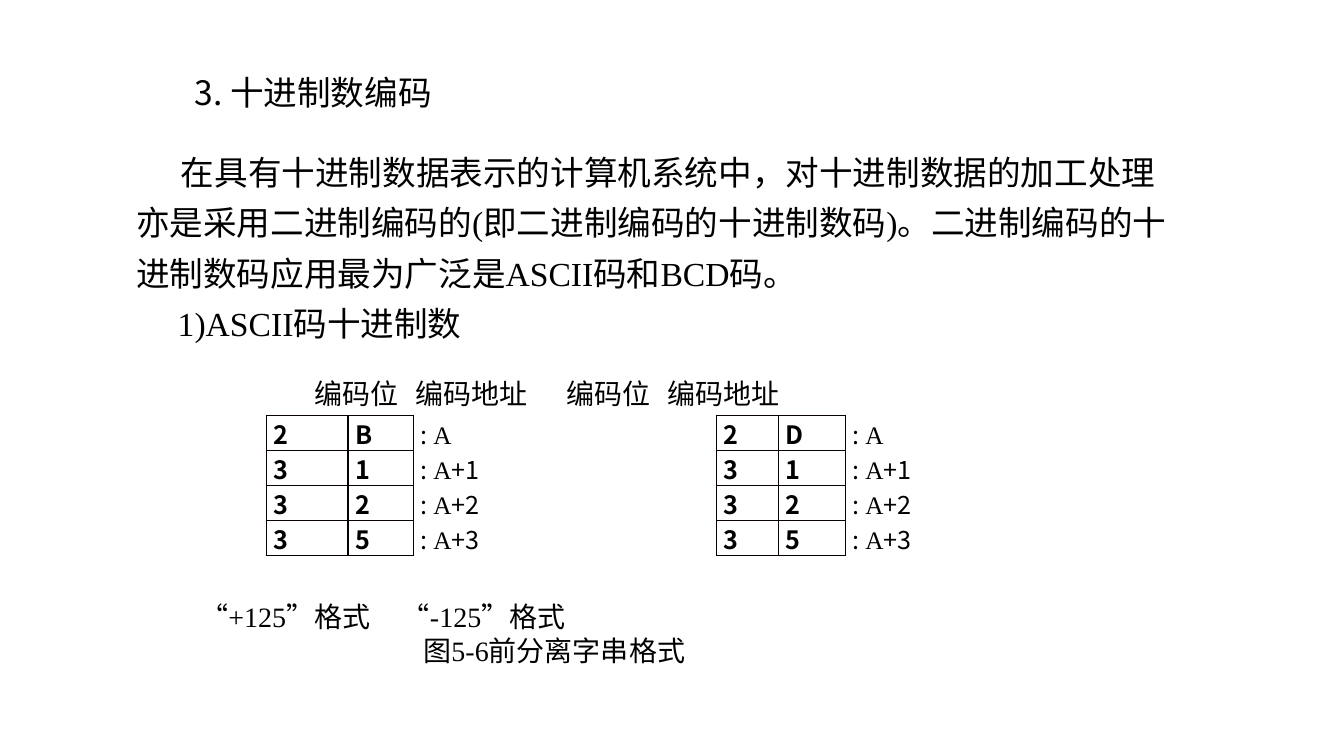
from lxml import etree
from pptx import Presentation
from pptx import util as u
from pptx.dml.color import RGBColor
from pptx.enum import text
from pptx.oxml import ns

Cm = u.Cm
COLORS = {"ink": "000000", "grid": "080000"}
SANS, SERIF = "Noto Sans CJK SC", "Times New Roman"
NO_STYLE = "{2D5ABB26-0587-4C30-8999-92F81FD0307C}"
SIGNS = ("B", "D")
DIGITS = "125"
COLUMN_WIDTHS = (2.06, 1.65, 4.39, 3.25, 1.55, 1.7, 6.48)
BORDERS = ("LRTB", "LRTB", "L", "R", "LRTB", "LRTB", "L")


def add_runs(paragraph, runs, size, bold=False):
    """Write (wording, font) pairs into a paragraph."""
    for wording, face in runs:
        run = paragraph.add_run()
        run.text = wording
        for key, value in {"size": u.Pt(size), "bold": bold, "name": face}.items():
            setattr(run.font, key, value)
        run.font.color.rgb = RGBColor.from_string(COLORS["ink"])
        east_asian = etree.SubElement(run.font._element, ns.qn("a:ea"))
        east_asian.set("typeface", SANS)


def set_layout(paragraph, indent=0, tabs=()):
    """Set the first-line indent and tab stops of a paragraph, in centimetres."""
    properties = paragraph._p.get_or_add_pPr()
    properties.set("marL", "0")
    properties.set("indent", str(Cm(indent)))
    if tabs:
        stops = etree.SubElement(properties, ns.qn("a:tabLst"))
        for position in tabs:
            etree.SubElement(stops, ns.qn("a:tab"), pos=str(Cm(position)), algn="l")


def add_frame(slide, box):
    """Add a wrapping text box and return its text frame."""
    frame = slide.shapes.add_textbox(*map(Cm, box)).text_frame
    frame.word_wrap = True
    return frame


def add_title(slide, box):
    """Place the section heading in the title placeholder."""
    title = slide.shapes.title
    for key, value in zip(("left", "top", "width", "height"), box):
        setattr(title, key, Cm(value))
    frame = title.text_frame
    settings = {"word_wrap": True, "auto_size": text.MSO_AUTO_SIZE.NONE,
                "vertical_anchor": text.MSO_ANCHOR.MIDDLE}
    for key, value in settings.items():
        setattr(frame, key, value)
    heading = frame.paragraphs[0]
    heading.alignment = text.PP_ALIGN.LEFT
    add_runs(heading, [("3. 十进制数编码", SANS)], 24)


def add_explanation(slide, box):
    """Place the explanation and the subheading below it."""
    frame = add_frame(slide, box)
    passages = (
        (1.13, "在具有十进制数据表示的计算机系统中，对十进制数据的加工处理"
               "亦是采用二进制编码的(即二进制编码的十进制数码)。"
               "二进制编码的十进制数码应用最为广泛是ASCII码和BCD码。"),
        (1.05, "1)ASCII码十进制数"),
    )
    for number, (indent, wording) in enumerate(passages):
        passage = frame.add_paragraph() if number else frame.paragraphs[0]
        set_layout(passage, indent)
        passage.line_spacing = 1.25
        add_runs(passage, [(wording, SERIF)], 24)


def add_column_labels(slide, box):
    """Place the labels above the two encodings."""
    labels = add_frame(slide, box).paragraphs[0]
    set_layout(labels, tabs=(0.79, 4.5, 11.18, 14.58))
    add_runs(labels, [("\t编码位\t编码地址" * 2, SERIF)], 20)


def set_borders(cell, sides):
    """Draw the given sides of a cell and leave the others clear."""
    properties = cell._tc.get_or_add_tcPr()
    for side in "LRTB":
        line = etree.SubElement(properties, ns.qn(f"a:ln{side}"), w=str(u.Pt(1)))
        if side in sides:
            fill = etree.SubElement(line, ns.qn("a:solidFill"))
            etree.SubElement(fill, ns.qn("a:srgbClr"), val=COLORS["grid"])
        else:
            etree.SubElement(line, ns.qn("a:noFill"))
    cell.fill.background()


def encoding_cells(sign, row):
    """Return the high digit, low digit and address runs of one byte."""
    high, low = ("3", DIGITS[row - 1]) if row else ("2", sign)
    address = [(": ", SANS), ("A", SERIF)]
    if row:
        address.append((f"+{row}", SANS))
    return [[(high, SANS)], [(low, SANS)], address]


def add_encodings(slide, box):
    """Place both digit strings with their addresses in one table."""
    rows = len(DIGITS) + 1
    graphic = slide.shapes.add_table(rows, len(COLUMN_WIDTHS), *map(Cm, box))
    encodings = graphic.table
    encodings.first_row = encodings.horz_banding = False
    next(graphic._element.iter(ns.qn("a:tableStyleId"))).text = NO_STYLE
    for column, width in zip(encodings.columns, COLUMN_WIDTHS):
        column.width = Cm(width)
    for row in range(rows):
        encodings.rows[row].height = Cm(box[3] / rows)
        plus, minus = (encoding_cells(sign, row) for sign in SIGNS)
        for column, runs in enumerate(plus + [[]] + minus):
            cell = encodings.cell(row, column)
            margins = {"margin_left": 0.18, "margin_right": 0.18,
                       "margin_top": 0, "margin_bottom": 0}
            for key, value in margins.items():
                setattr(cell, key, Cm(value))
            add_runs(cell.text_frame.paragraphs[0], runs, 18, bold=column % 4 < 2)
            set_borders(cell, BORDERS[column])


def add_caption(slide, box):
    """Place the format names and the figure caption."""
    frame = add_frame(slide, box)
    formats = frame.paragraphs[0]
    set_layout(formats, tabs=(0.17, 9.85))
    for number in ("+125", "-125"):
        add_runs(formats, [("\t“", SANS), (number, SERIF), ("”格式", SANS)], 20)
    figure = frame.add_paragraph()
    figure.alignment = text.PP_ALIGN.CENTER
    set_layout(figure, 0.79)
    add_runs(figure, [("图", SANS), ("5-6", SERIF), ("前分离字串格式", SANS)], 20)


def main():
    """Build and save the slide."""
    deck = Presentation()
    deck.slide_width, deck.slide_height = Cm(33.87), Cm(19.05)
    slide = deck.slides.add_slide(deck.slide_layouts[5])
    add_title(slide, (4.65, 1.68, 13.97, 1.27))
    add_explanation(slide, (3.18, 3.45, 26.67, 5.38))
    add_column_labels(slide, (6.4, 9.37, 19, 1.12))
    add_encodings(slide, (6.71, 10.46, sum(COLUMN_WIDTHS), 3.54))
    add_caption(slide, (3.53, 14.99, 20.09, 1.96))
    deck.save("out.pptx")


if __name__ == "__main__":
    main()
